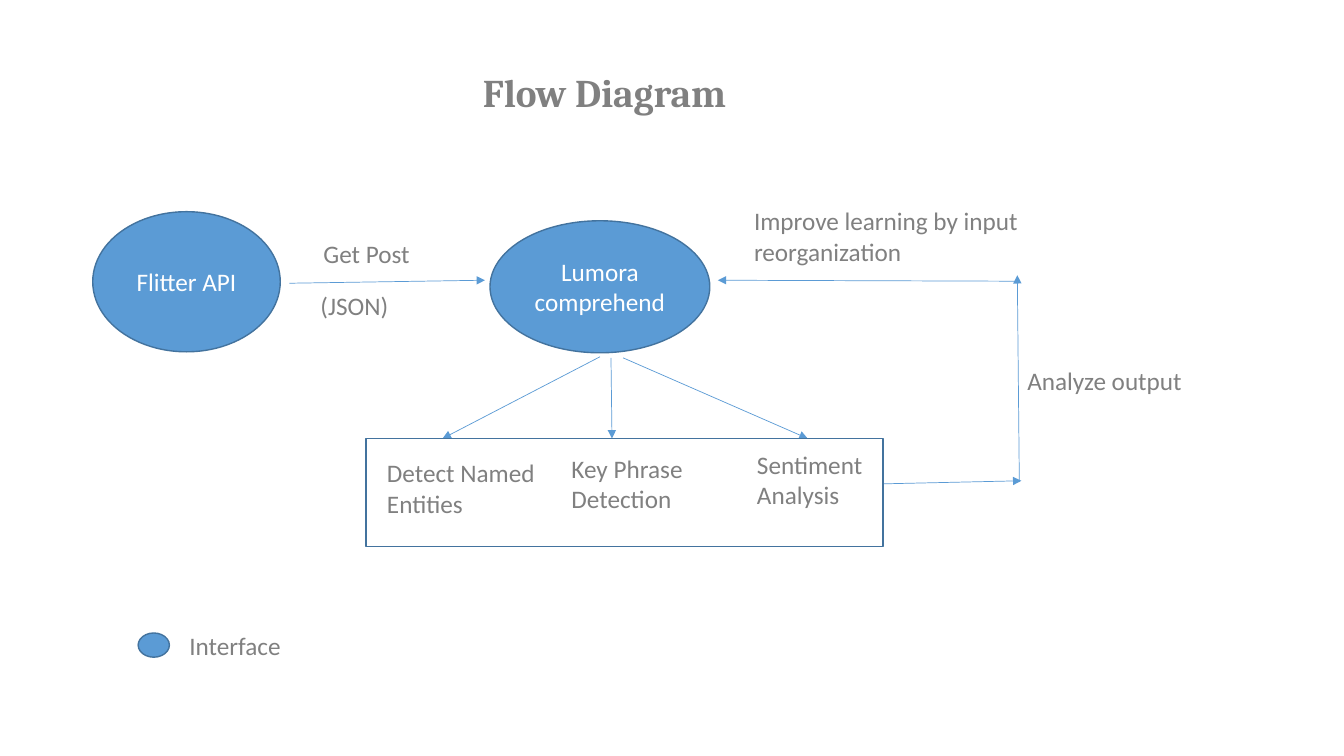
"""Build the flow diagram slide for post analysis."""
from typing import NamedTuple

from lxml.etree import SubElement
from pptx import Presentation
from pptx.dml.color import RGBColor
from pptx.enum.shapes import MSO_CONNECTOR, MSO_SHAPE
from pptx.enum.text import MSO_ANCHOR, MSO_AUTO_SIZE, PP_ALIGN
from pptx.oxml.ns import qn
from pptx.shapes.autoshape import Shape
from pptx.slide import Slide
from pptx.text.text import TextFrame
from pptx.util import Emu, Pt

PX = 9144
COLORS = {"node": "5B9BD5", "edge": "43739E", "text": "808080", "light": "FFFFFF"}


class Node(NamedTuple):
    left: int
    top: int
    width: int
    height: int
    text: str = ""
    kind: MSO_SHAPE = MSO_SHAPE.OVAL
    fill: str | None = "node"


class Label(NamedTuple):
    left: int
    top: int
    width: int
    height: int
    text: str


class Arrow(NamedTuple):
    x1: int
    y1: int
    x2: int
    y2: int


INTERFACES = [
    Node(92, 210, 186, 139, "Flitter API"),
    Node(486, 219, 218, 131, "Lumora comprehend"),
    Node(137, 628, 31, 24),
]
OUTPUT_FRAME = Node(363, 435, 513, 107, kind=MSO_SHAPE.RECTANGLE, fill=None)
LABELS = [
    Label(311, 232, 173, 40, "Get Post"),
    Label(308, 283, 173, 40, "(JSON)"),
    Label(374, 449, 173, 71, "Detect Named Entities"),
    Label(557, 445, 173, 71, "Key Phrase Detection"),
    Label(741, 441, 173, 71, "Sentiment Analysis"),
    Label(738, 199, 319, 71, "Improve learning by input reorganization"),
    Label(1009, 358, 319, 40, "Analyze output"),
    Label(178, 620, 199, 40, "Interface"),
]
TITLE = Label(70, 63, 1059, 57, "Flow Diagram")
ARROWS = [
    Arrow(287, 281, 481, 278),
    Arrow(595, 354, 439, 435),
    Arrow(606, 355, 607, 435),
    Arrow(618, 355, 801, 435),
    Arrow(876, 480, 1013, 477),
    Arrow(1011, 478, 1009, 273),
    Arrow(1011, 279, 712, 278),
]


def px(*lengths: int) -> list[Emu]:
    return [Emu(length * PX) for length in lengths]


def rgb(name: str) -> RGBColor:
    return RGBColor.from_string(COLORS[name])


def write(frame: TextFrame, text: str, *, size: int = 18, font: str = "Calibri",
          color: str = "text", bold: bool = False,
          align: PP_ALIGN = PP_ALIGN.LEFT) -> None:
    frame.word_wrap = True
    paragraph = frame.paragraphs[0]
    paragraph.alignment = align
    run = paragraph.add_run()
    run.text = text
    run.font.size = Pt(size)
    run.font.name = font
    run.font.bold = bold
    run.font.color.rgb = rgb(color)


def draw_node(slide: Slide, node: Node) -> Shape:
    shape = slide.shapes.add_shape(node.kind, *px(*node[:4]))
    shape.shadow.inherit = False
    if node.fill:
        shape.fill.solid()
        shape.fill.fore_color.rgb = rgb(node.fill)
    else:
        shape.fill.background()
    shape.line.color.rgb = rgb("edge")
    shape.line.width = Pt(1)
    if node.text:
        shape.text_frame.vertical_anchor = MSO_ANCHOR.MIDDLE
        write(shape.text_frame, node.text, color="light", align=PP_ALIGN.CENTER)
    return shape


def draw_label(slide: Slide, label: Label, **text_format) -> None:
    frame = slide.shapes.add_textbox(*px(*label[:4])).text_frame
    write(frame, label.text, **text_format)
    frame.auto_size = MSO_AUTO_SIZE.SHAPE_TO_FIT_TEXT


def draw_arrow(slide: Slide, arrow: Arrow) -> None:
    link = slide.shapes.add_connector(MSO_CONNECTOR.STRAIGHT, *px(*arrow))
    link.line.color.rgb = rgb("node")
    link.line.width = Pt(0.5)
    SubElement(link.line._get_or_add_ln(), qn("a:tailEnd"), type="triangle")
    SubElement(link._element.spPr, qn("a:effectLst"))


def main() -> None:
    deck = Presentation()
    deck.slide_width, deck.slide_height = px(1333, 750)
    slide = deck.slides.add_slide(deck.slide_layouts[6])
    for interface in INTERFACES:
        draw_node(slide, interface)
    for arrow in ARROWS:
        draw_arrow(slide, arrow)
    draw_node(slide, OUTPUT_FRAME)
    for label in LABELS:
        draw_label(slide, label)
    draw_label(slide, TITLE, size=28, font="Cambria", bold=True, align=PP_ALIGN.CENTER)
    deck.save("out.pptx")


if __name__ == "__main__":
    main()
